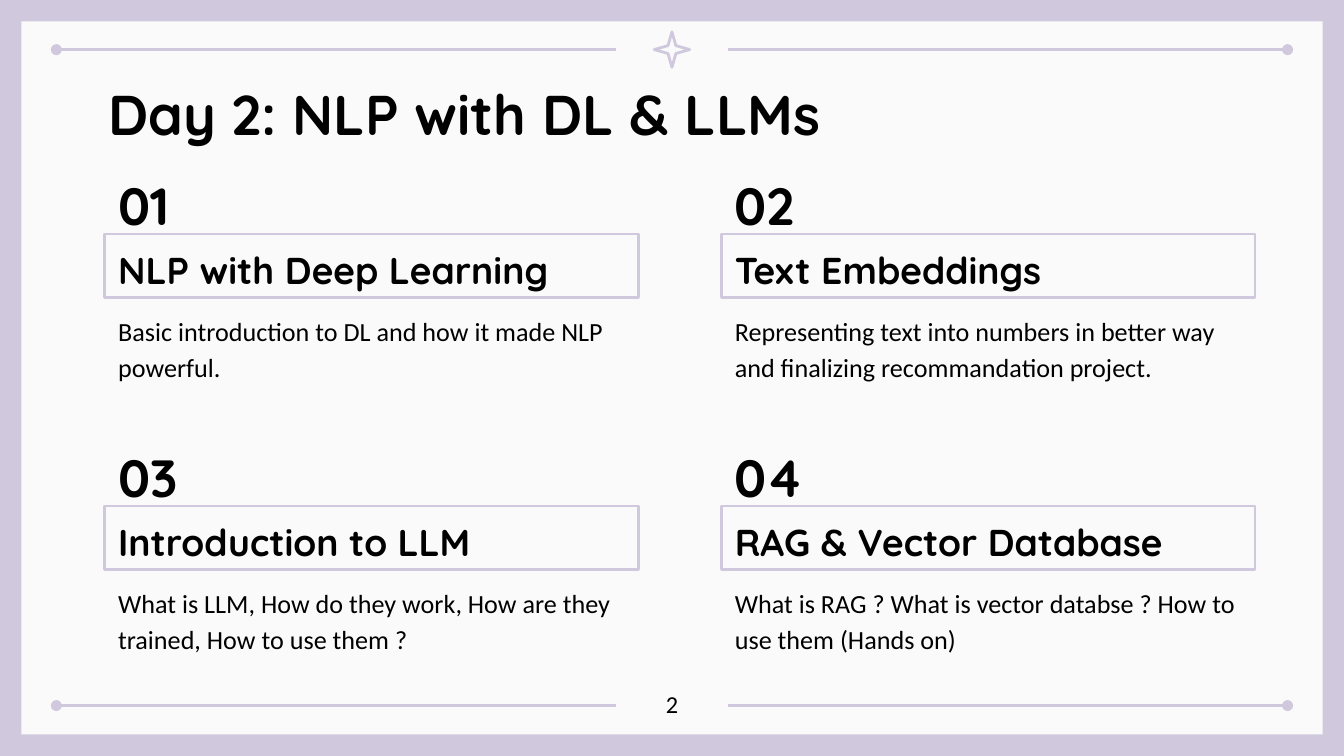
from lxml.etree import SubElement
from pptx import Presentation
from pptx.dml.color import RGBColor
from pptx.enum.shapes import MSO_CONNECTOR as Connector, MSO_SHAPE as Shape
from pptx.enum.text import MSO_ANCHOR as Anchor, PP_ALIGN as Align
from pptx.oxml.ns import qn
from pptx.util import Pt

LILAC, PAPER, INK = "D0C9DD", "FAFAFA", "000000"
HEADING_FONT, BODY_FONT = "Quicksand", "Calibri"
SLIDE_W, SLIDE_H = 720, 405
COLUMNS = (56.2, 386.6)
FIRST_ROW, ROW_STEP = 90, 145.7
TOPIC_W = 285.8

TOPICS = [
    ("NLP with Deep Learning",
     "Basic introduction to DL and how it made NLP powerful."),
    ("Text Embeddings",
     "Representing text into numbers in better way and finalizing "
     "recommandation project."),
    ("Introduction to LLM",
     "What is LLM, How do they work, How are they trained, How to use them ?"),
    ("RAG & Vector Database",
     "What is RAG ? What is vector databse ? How to use them (Hands on)"),
]


def paint(color_format, hex_color):
    color_format.rgb = RGBColor.from_string(hex_color)


def write(holder, text, size, font=BODY_FONT, bold=False, anchor=Anchor.TOP,
          align=Align.LEFT, spacing=1.0):
    frame = holder.text_frame
    frame.word_wrap = True
    frame.vertical_anchor = anchor
    frame.margin_left = frame.margin_right = Pt(7.2)
    frame.margin_top = frame.margin_bottom = Pt(7.2)
    paragraph = frame.paragraphs[0]
    paragraph.alignment = align
    paragraph.line_spacing = spacing
    run = paragraph.add_run()
    run.text = text
    run.font.name, run.font.size, run.font.bold = font, Pt(size), bold
    paint(run.font.color, INK)


def add_label(slide, left, top, width, height, text, size, **style):
    label = slide.shapes.add_textbox(Pt(left), Pt(top), Pt(width), Pt(height))
    write(label, text, size, **style)


def add_figure(slide, kind, left, top, width, height, fill=None, outline=None):
    figure = slide.shapes.add_shape(kind, Pt(left), Pt(top), Pt(width), Pt(height))
    figure.shadow.inherit = False
    if fill:
        figure.fill.solid()
        paint(figure.fill.fore_color, fill)
    else:
        figure.fill.background()
    if outline:
        paint(figure.line.color, outline)
        figure.line.width = Pt(1.5)
    else:
        figure.line.fill.background()
    return figure


def add_rule(slide, outer_x, inner_x, y):
    """Draw a rule with a dot at its outer end."""
    rule = slide.shapes.add_connector(
        Connector.STRAIGHT, Pt(outer_x), Pt(y), Pt(inner_x), Pt(y))
    paint(rule.line.color, LILAC)
    rule.line.width = Pt(1.5)
    SubElement(rule.line._get_or_add_ln(), qn("a:headEnd"), type="oval")
    SubElement(rule._element.spPr, qn("a:effectLst"))


def add_frame(slide):
    slide.background.fill.solid()
    paint(slide.background.fill.fore_color, LILAC)
    add_figure(slide, Shape.RECTANGLE, 11.5, 11.5, 697, 382, fill=PAPER)
    for y in (26.6, 378):
        for outer_x, inner_x in ((30.2, 329.8), (689.8, 390.2)):
            add_rule(slide, outer_x, inner_x, y)
    star = add_figure(slide, Shape.STAR_4_POINT, 350.5, 17.1, 19, 19, outline=LILAC)
    star.adjustments[0] = 0.157


def add_title(slide, text):
    title = slide.shapes.title
    title.left, title.top = Pt(51.1), Pt(35.3)
    title.width, title.height = Pt(606.2), Pt(45.4)
    write(title, text, 30, font=HEADING_FONT, bold=True)


def add_topic(slide, left, top, number, heading, description):
    strong = dict(font=HEADING_FONT, bold=True, anchor=Anchor.MIDDLE, spacing=1.15)
    add_label(slide, left, top, 51.8, 34.6, f"{number:02}", 28, **strong)
    banner = add_figure(slide, Shape.RECTANGLE, left, top + 35.4, TOPIC_W, 34.2,
                        outline=LILAC)
    write(banner, heading, 20, **strong)
    add_label(slide, left, top + 69.1, TOPIC_W, 42.5, description, 14, spacing=1.15)


def main():
    deck = Presentation()
    deck.slide_width, deck.slide_height = Pt(SLIDE_W), Pt(SLIDE_H)
    slide = deck.slides.add_slide(deck.slide_layouts[5])  # Title Only

    # Border, rules and star
    add_frame(slide)

    # Title and the grid of topics
    add_title(slide, "Day 2: NLP with DL & LLMs")
    for index, (heading, description) in enumerate(TOPICS):
        row, column = divmod(index, len(COLUMNS))
        add_topic(slide, COLUMNS[column], FIRST_ROW + row * ROW_STEP,
                  index + 1, heading, description)

    # Page number
    add_label(slide, 338.4, 362.2, 43.2, 25.9, "2", 13, align=Align.CENTER)

    # Title in front of the paper panel
    slide.shapes._spTree.append(slide.shapes.title._element)
    deck.save("out.pptx")


if __name__ == "__main__":
    main()
